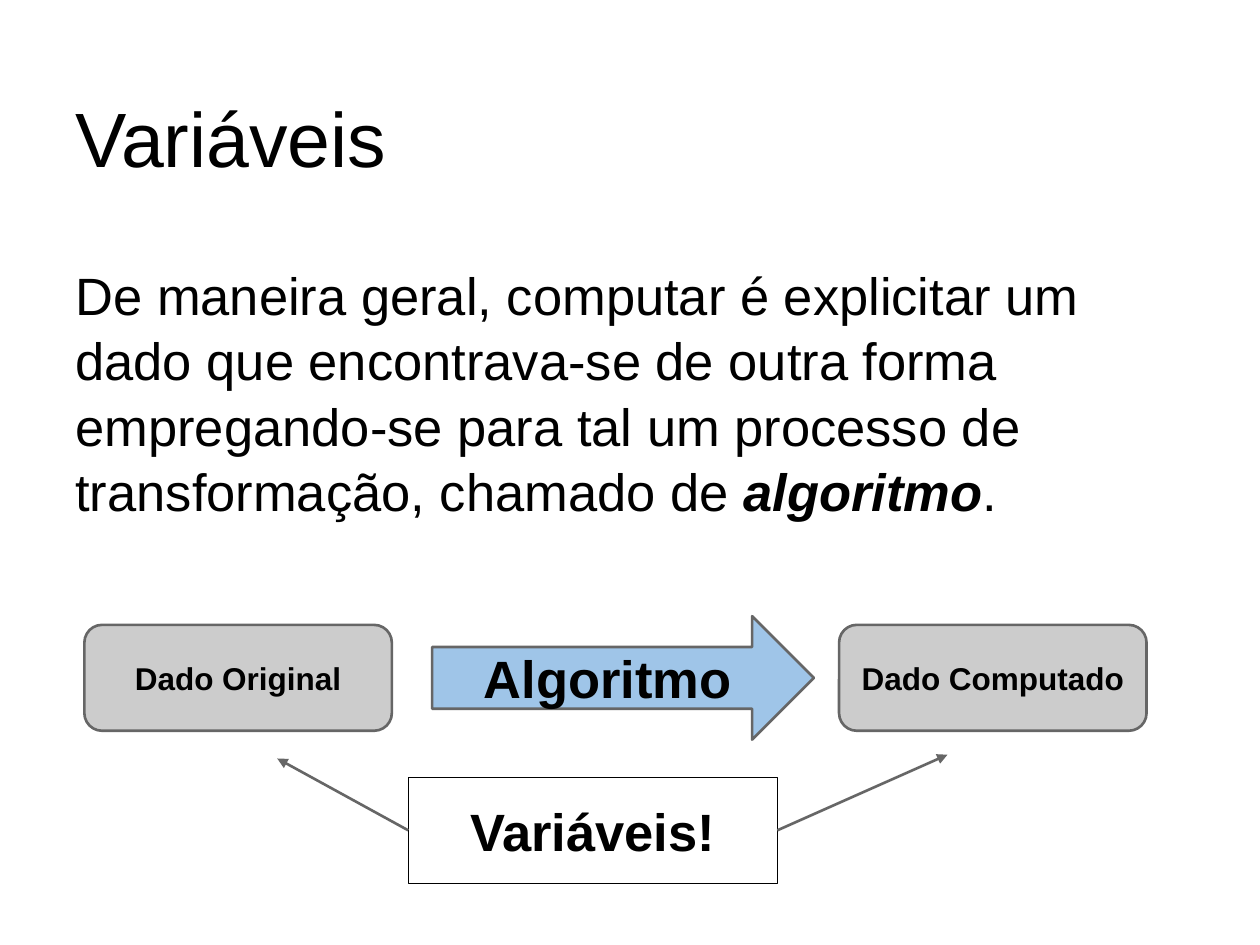
from lxml.etree import SubElement
from pptx import Presentation
from pptx.dml.color import RGBColor
from pptx.enum.shapes import MSO_CONNECTOR as Link, MSO_SHAPE as Shape
from pptx.enum.text import MSO_ANCHOR as Anchor, PP_ALIGN as Align
from pptx.oxml.ns import qn
from pptx.util import Inches, Pt

WIDTH, HEIGHT = 10, 7.5
FONT = "Arial"
COLORS = {"text": "000000", "data": "CCCCCC", "arrow": "9FC5E8", "edge": "666666"}

TITLE = "Variáveis"
BODY = [
    ("De maneira geral, computar é explicitar um dado que encontrava-se de outra "
     "forma empregando-se para tal um processo de transformação, chamado de ", False),
    ("algoritmo", True),
    (".", False),
]

FLOW_MIDDLE, LABEL_MIDDLE = 5.38, 6.59
DATA_SIZE, ARROW_SIZE, LABEL_SIZE = (2.44, 0.84), (3.03, 0.98), (2.93, 0.84)
NODES = [
    ("Dado Original", Shape.ROUNDED_RECTANGLE, 0.67, FLOW_MIDDLE, DATA_SIZE, "data", "edge", 1.5, 18),
    ("Algoritmo", Shape.RIGHT_ARROW, 3.43, FLOW_MIDDLE, ARROW_SIZE, "arrow", "edge", 1.5, 30),
    ("Dado Computado", Shape.ROUNDED_RECTANGLE, 6.66, FLOW_MIDDLE, DATA_SIZE, "data", "edge", 1.5, 18),
    ("Variáveis!", Shape.RECTANGLE, 3.24, LABEL_MIDDLE, LABEL_SIZE, None, "text", 0.75, 30),
]
POINTERS = [(1, 2.2, 6.02), (3, 7.52, 5.99)]


def color(name):
    return RGBColor.from_string(COLORS[name])


def write(box, runs, size, anchor, align=Align.LEFT, bold=None):
    frame = box.text_frame
    frame.word_wrap = True
    frame.vertical_anchor = anchor
    frame.margin_left = frame.margin_right = Inches(0.1)
    frame.margin_top = frame.margin_bottom = Inches(0.1)
    para = frame.paragraphs[0]
    para.alignment = align
    para.font.name, para.font.size, para.font.bold = FONT, Pt(size), bold
    para.font.color.rgb = color("text")
    for text, strong in runs:
        span = para.add_run()
        span.text = text
        if strong:
            span.font.bold = span.font.italic = True
    return frame


def add_text(page, runs, area, size, anchor):
    box = page.shapes.add_textbox(*map(Inches, area))
    return write(box, runs, size, anchor)


def add_node(page, text, kind, left, middle, size, fill, edge, weight, points):
    width, height = size
    box = page.shapes.add_shape(
        kind, *map(Inches, (left, middle - height / 2, width, height)))
    box.shadow.inherit = False
    if fill:
        box.fill.solid()
        box.fill.fore_color.rgb = color(fill)
    else:
        box.fill.background()
    box.line.color.rgb = color(edge)
    box.line.width = Pt(weight)
    write(box, [(text, False)], points, Anchor.MIDDLE, Align.CENTER, True)
    return box


def add_pointer(page, box, side, x, y):
    pointer = page.shapes.add_connector(
        Link.STRAIGHT, 0, 0, Inches(x), Inches(y))
    pointer.begin_connect(box, side)
    pointer.line.color.rgb = color("edge")
    pointer.line.width = Pt(1.5)
    SubElement(pointer.line._get_or_add_ln(), qn("a:tailEnd"), type="triangle")
    SubElement(pointer._element.spPr, qn("a:effectLst"))


def main():
    deck = Presentation()
    deck.slide_width, deck.slide_height = Inches(WIDTH), Inches(HEIGHT)
    page = deck.slides.add_slide(deck.slide_layouts[6])

    add_text(page, [(TITLE, False)], (0.5, 0.3, 9, 1.25), 44, Anchor.BOTTOM)
    body = add_text(page, BODY, (0.5, 1.98, 9.01, 2.6), 30, Anchor.MIDDLE)
    body.margin_bottom = Inches(0.45)
    body.paragraphs[0].line_spacing = 1.04

    boxes = [add_node(page, *node) for node in NODES]
    for pointer in POINTERS:
        add_pointer(page, boxes[-1], *pointer)

    deck.save("out.pptx")


if __name__ == "__main__":
    main()
